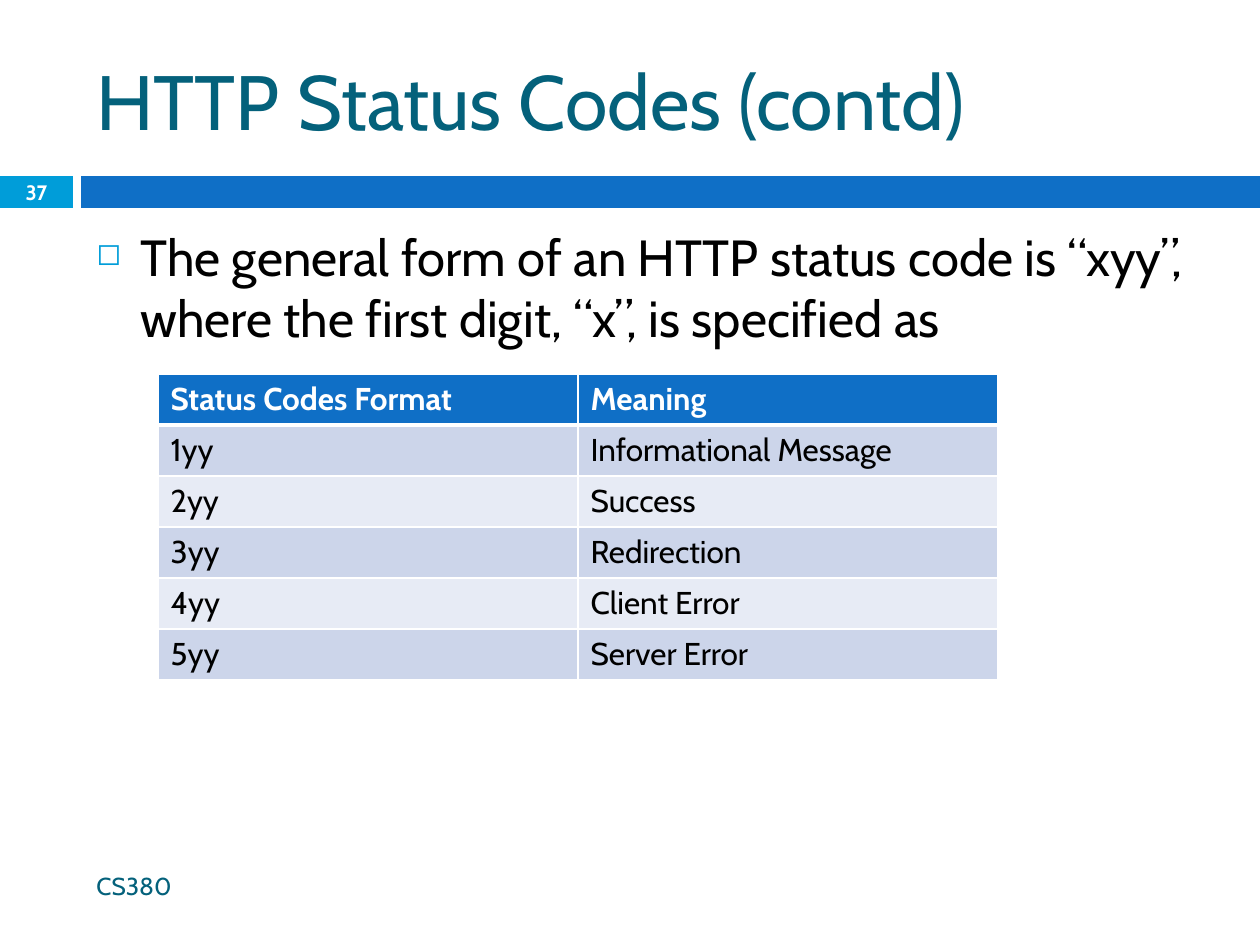
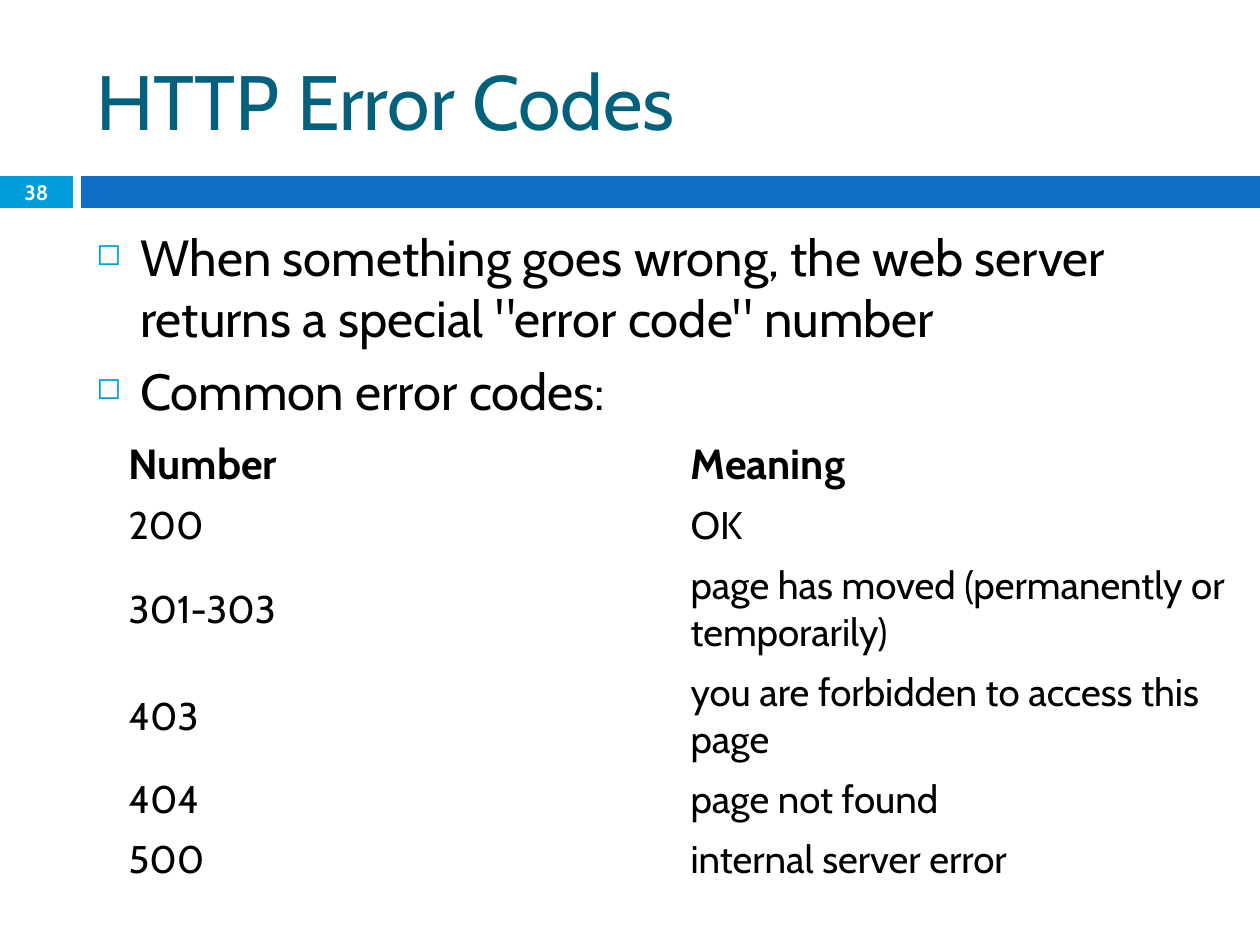
from lxml import etree
from pptx import Presentation
from pptx.dml.color import RGBColor
from pptx.enum.shapes import MSO_SHAPE
from pptx.enum.text import MSO_ANCHOR, PP_ALIGN
from pptx.oxml.ns import qn
from pptx.util import Pt

# Content
SLIDES = [
    {
        "title": "HTTP Status Codes (contd)",
        "number": "37",
        "footer": "CS380",
        "bullets": ["The general form of an HTTP status code is “xyy”, "
                    "where the first digit, “x”, is specified as"],
        "table": {
            "left": 158, "top": 374, "column": 420, "heights": [51] * 6,
            "sizes": (18, 18), "anchor": MSO_ANCHOR.TOP, "banded": True,
            "rows": [
                ("Status Codes Format", "Meaning"),
                ("1yy", "Informational Message"),
                ("2yy", "Success"),
                ("3yy", "Redirection"),
                ("4yy", "Client Error"),
                ("5yy", "Server Error"),
            ],
        },
    },
    {
        "title": "HTTP Error Codes",
        "number": "38",
        "footer": None,
        "bullets": ["When something goes wrong, the web server returns "
                    "a special \"error code\" number",
                    "Common error codes:"],
        "table": {
            "left": 116, "top": 432, "column": 562,
            "heights": [64, 60, 107, 107, 60, 60],
            "sizes": (24, 22), "anchor": MSO_ANCHOR.MIDDLE, "banded": False,
            "rows": [
                ("Number", "Meaning"),
                ("200", "OK"),
                ("301-303", "page has moved (permanently or temporarily)"),
                ("403", "you are forbidden to access this page"),
                ("404", "page not found"),
                ("500", "internal server error"),
            ],
        },
    },
]

# Shared look
FONT = "Cabin"
COLORS = {
    "title": "04617B", "tab": "009DD9", "band": "0F6FC6", "text": "000000",
    "white": "FFFFFF", "odd row": "CCD5EA", "even row": "E7EBF5",
}
PAGE_WIDTH, PAGE_HEIGHT = 1260, 945
TITLE_BOX = (84, 32, 1124, 136)
BODY_BOX = (84, 220, 1124, 620)
FOOTER_BOX = (84, 861, 747, 50)
NUMBER_BOX = (0, 175, 73, 34)
BANDS = [("tab", (0, 176, 73, 32)), ("band", (81, 176, 1179, 32))]
HANGING = 44


def px(length):
    return round(length * 914400 / 126)


def rgb(name):
    return RGBColor.from_string(COLORS[name])


def add_bullet(para):
    props = para._p.get_or_add_pPr()
    props.set("marL", str(px(HANGING)))
    props.set("indent", str(-px(HANGING)))
    color = etree.SubElement(props, qn("a:buClr"))
    etree.SubElement(color, qn("a:srgbClr"), val=COLORS["tab"])
    etree.SubElement(props, qn("a:buSzPct"), val="60000")
    etree.SubElement(props, qn("a:buChar"), char="◻")


def write(frame, *texts, size, color="text", bold=False, align=PP_ALIGN.LEFT,
          before=0, bullet=False):
    for index, text in enumerate(texts):
        para = frame.add_paragraph() if index else frame.paragraphs[0]
        para.alignment = align
        para.space_before = Pt(before)
        if bullet:
            add_bullet(para)
        span = para.add_run()
        span.text = text
        span.font.name = FONT
        span.font.size = Pt(size)
        span.font.bold = bold
        span.font.color.rgb = rgb(color)


def add_text(page, place, *texts, anchor=MSO_ANCHOR.MIDDLE, **style):
    frame = page.shapes.add_textbox(*map(px, place)).text_frame
    frame.word_wrap = True
    frame.vertical_anchor = anchor
    write(frame, *texts, **style)


def add_band(page, color, place):
    band = page.shapes.add_shape(MSO_SHAPE.RECTANGLE, *map(px, place))
    band.shadow.inherit = False
    band.fill.solid()
    band.fill.fore_color.rgb = rgb(color)
    band.line.fill.background()


def add_borders(cell, bottom):
    props = cell._tc.get_or_add_tcPr()
    for side, width in (("L", 1), ("R", 1), ("T", 1), ("B", bottom)):
        line = etree.SubElement(props, qn(f"a:ln{side}"), w=str(Pt(width)))
        fill = etree.SubElement(line, qn("a:solidFill"))
        etree.SubElement(fill, qn("a:srgbClr"), val=COLORS["white"])


def add_code_table(page, data):
    rows, heights, banded = data["rows"], data["heights"], data["banded"]
    columns = len(rows[0])
    place = (data["left"], data["top"], data["column"] * columns, sum(heights))
    table = page.shapes.add_table(len(rows), columns, *map(px, place)).table
    table.first_row = table.horz_banding = False
    for column in table.columns:
        column.width = px(data["column"])
    for row, texts in enumerate(rows):
        table.rows[row].height = px(heights[row])
        header = row == 0
        for column, text in enumerate(texts):
            cell = table.cell(row, column)
            cell.vertical_anchor = data["anchor"]
            if banded:
                add_borders(cell, bottom=3 if header else 1)
                cell.fill.solid()
                stripe = "odd row" if row % 2 else "even row"
                cell.fill.fore_color.rgb = rgb("band" if header else stripe)
            else:
                cell.fill.background()
            write(cell.text_frame, text, size=data["sizes"][0 if header else 1],
                  bold=header, color="white" if header and banded else "text")


def add_page(deck, content):
    page = deck.slides.add_slide(deck.slide_layouts[6])
    # Bands and title
    for color, place in BANDS:
        add_band(page, color, place)
    add_text(page, TITLE_BOX, content["title"], size=44, color="title")
    # Bullets
    add_text(page, BODY_BOX, *content["bullets"], anchor=MSO_ANCHOR.TOP,
             size=29, before=7, bullet=True)
    # Footer and page number
    if content["footer"]:
        add_text(page, FOOTER_BOX, content["footer"], size=14, color="title")
    add_text(page, NUMBER_BOX, content["number"], size=11.9, color="white",
             bold=True, align=PP_ALIGN.CENTER)
    # Table
    add_code_table(page, content["table"])


def main():
    deck = Presentation()
    deck.slide_width, deck.slide_height = px(PAGE_WIDTH), px(PAGE_HEIGHT)
    for content in SLIDES:
        add_page(deck, content)
    deck.save("out.pptx")


if __name__ == "__main__":
    main()
